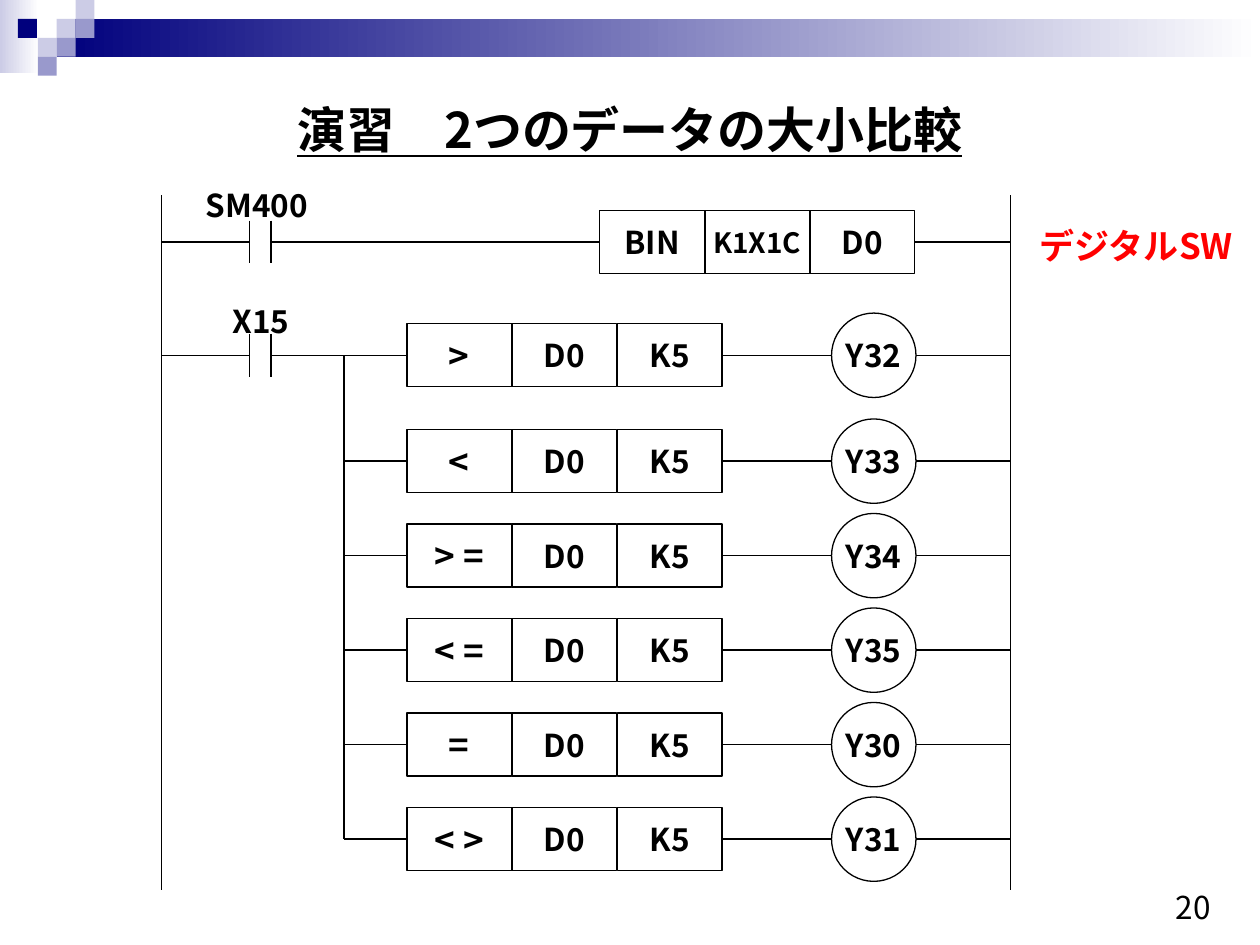
from pptx import Presentation
from pptx.dml.color import RGBColor
from pptx.enum.shapes import MSO_CONNECTOR, MSO_SHAPE
from pptx.enum.text import MSO_ANCHOR, MSO_AUTO_SIZE, PP_ALIGN
from pptx.oxml.ns import qn
from pptx.util import Inches, Pt
from lxml import etree

RECT, OVAL = MSO_SHAPE.RECTANGLE, MSO_SHAPE.OVAL
STRAIGHT = MSO_CONNECTOR.STRAIGHT
LEFT, CENTER, MIDDLE = PP_ALIGN.LEFT, PP_ALIGN.CENTER, MSO_ANCHOR.MIDDLE
BLACK = RGBColor(0x00, 0x00, 0x00)
WHITE = RGBColor(0xFF, 0xFF, 0xFF)
RED = RGBColor(0xFF, 0x00, 0x00)
NAVY = RGBColor(0x00, 0x00, 0x7D)
LILAC = RGBColor(0xCC, 0xCC, 0xE6)
VIOLET = RGBColor(0x99, 0x99, 0xCC)
FONT = "Noto Sans CJK JP"

deck = Presentation()
deck.slide_width, deck.slide_height = Inches(10), Inches(7.5)
page = deck.slides.add_slide(deck.slide_layouts[5])


def write(box, text, size, color=BLACK, bold=True, underline=None, align=CENTER, wrap=False):
    frame = box.text_frame
    frame.word_wrap = wrap
    frame.vertical_anchor = MIDDLE
    para = frame.paragraphs[0]
    para.alignment = align
    span = para.add_run()
    span.text = text
    looks = {"name": FONT, "size": Pt(size), "bold": bold, "underline": underline}
    for name, value in looks.items():
        setattr(span.font, name, value)
    span.font.color.rgb = color
    east_asian = etree.SubElement(span.font._element, qn("a:ea"))
    east_asian.set("typeface", FONT)


def wire(x1, y1, x2, y2):
    line = page.shapes.add_connector(STRAIGHT, Inches(x1), Inches(y1), Inches(x2), Inches(y2))
    line.line.color.rgb = BLACK
    line.line.width = Pt(0.75)
    etree.SubElement(line._element.spPr, qn("a:effectLst"))


bands = [
    (0, 0, 0.31, 0.58, LILAC),
    (0.45, 0.15, 9.55, 0.3, NAVY),
]
for left, top, width, height, color in bands:
    band = page.shapes.add_shape(RECT, Inches(left), Inches(top), Inches(width), Inches(height))
    band.shadow.inherit = False
    band.line.fill.background()
    band.fill.gradient()
    band.fill.gradient_angle = 0
    for stop, shade in zip(band.fill.gradient_stops, (color, WHITE)):
        stop.color.rgb = shade

tile = 0.15
tiles = [
    (3, 1, LILAC), (4, 0, LILAC), (4, 1, VIOLET), (2, 2, LILAC),
    (0.95, 1, NAVY), (3, 2, VIOLET), (2, 3, VIOLET),
]
for column, row, color in tiles:
    square = page.shapes.add_shape(
        RECT, Inches(column * tile), Inches(row * tile), Inches(tile), Inches(tile))
    square.shadow.inherit = False
    square.line.fill.background()
    square.fill.solid()
    square.fill.fore_color.rgb = color

title = page.shapes.title
title_place = {"left": 0.71, "top": 0.74, "width": 8.58, "height": 0.57}
for name, value in title_place.items():
    setattr(title, name, Inches(value))
write(title, "演習　2つのデータの大小比較", 28, underline=True, wrap=True)
title.text_frame.auto_size = MSO_AUTO_SIZE.SHAPE_TO_FIT_TEXT

left_rail, right_rail, branch = 1.28, 8.02, 2.73
contact_left, contact_right = 1.98, 2.15
cell_width, cell_height, coil_size = 0.83, 0.5, 0.67
cell_step = 0.835
bin_left, compare_left, coil_left = 4.76, 3.23, 6.6
bin_y, first_y = 1.92, 2.82
rungs = [first_y] + [3.66 + 0.75 * step for step in range(5)]

for rail in (left_rail, right_rail):
    wire(rail, 1.55, rail, 7.06)
wire(branch, first_y, branch, rungs[-1])

for y in (bin_y, first_y):
    wire(left_rail, y, contact_left, y)
    for x in (contact_left, contact_right):
        wire(x, y - 0.17, x, y + 0.17)
wire(contact_right, bin_y, bin_left, bin_y)
wire(bin_left + 3 * cell_step, bin_y, right_rail, bin_y)
wire(contact_right, first_y, branch, first_y)

blocks = [(bin_left, bin_y, [("BIN", 18), ("K1X1C", 16), ("D0", 18)])]
for y, sign in zip(rungs, (">", "<", "> =", "< =", "=", "< >")):
    blocks.append((compare_left, y, [(sign, 20), ("D0", 18), ("K5", 18)]))
    wire(branch, y, compare_left, y)
    wire(compare_left + 3 * cell_step, y, coil_left, y)
    wire(coil_left + coil_size, y, right_rail, y)

for left, y, cells in blocks:
    for column, (text, size) in enumerate(cells):
        cell = page.shapes.add_shape(
            RECT, Inches(left + column * cell_step), Inches(y - cell_height / 2),
            Inches(cell_width), Inches(cell_height))
        cell.shadow.inherit = False
        cell.fill.solid()
        cell.fill.fore_color.rgb = WHITE
        cell.line.color.rgb = BLACK
        cell.line.width = Pt(0.75)
        write(cell, text, size)

for y, output in zip(rungs, ("Y32", "Y33", "Y34", "Y35", "Y30", "Y31")):
    coil = page.shapes.add_shape(
        OVAL, Inches(coil_left), Inches(y - coil_size / 2), Inches(coil_size), Inches(coil_size))
    coil.shadow.inherit = False
    coil.fill.background()
    coil.line.color.rgb = BLACK
    coil.line.width = Pt(0.75)
    write(coil, output, 18)

labels = [
    ("SM400", 1.54, 1.46, 1, 0.33, {"size": 18}),
    ("X15", 1.57, 2.38, 1, 0.33, {"size": 18}),
    ("デジタルSW", 8.25, 1.78, 1.73, 0.33, {"size": 20, "color": RED, "align": LEFT}),
    ("20", 8.94, 6.9, 1.06, 0.6, {"size": 18, "bold": False, "wrap": True}),
]
for text, left, top, width, height, looks in labels:
    label = page.shapes.add_textbox(Inches(left), Inches(top), Inches(width), Inches(height))
    label.text_frame.margin_left = label.text_frame.margin_right = Inches(0)
    write(label, text, **looks)

deck.save("out.pptx")
